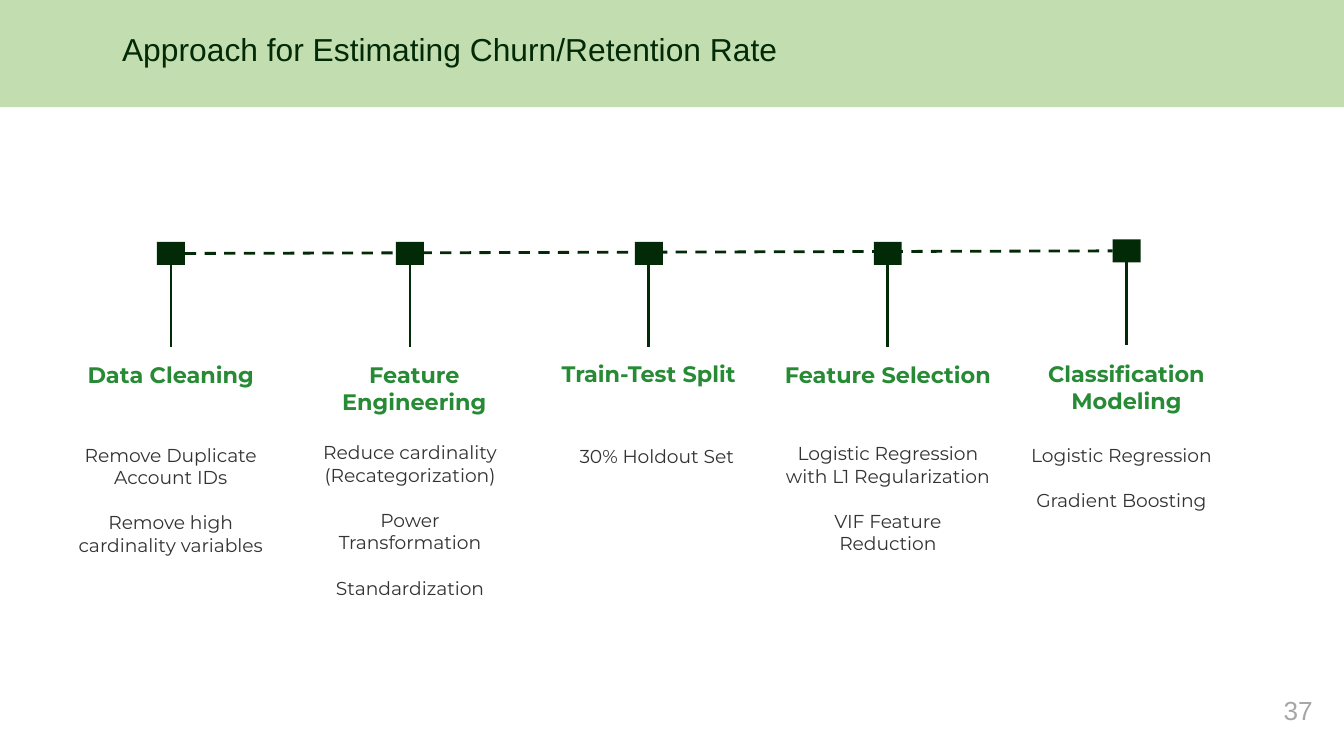
from dataclasses import dataclass

from lxml import etree
from pptx import Presentation
from pptx.dml.color import RGBColor
from pptx.enum.dml import MSO_LINE
from pptx.enum.shapes import MSO_CONNECTOR, MSO_SHAPE
from pptx.enum.text import MSO_ANCHOR, MSO_AUTO_SIZE, PP_ALIGN
from pptx.oxml.ns import qn
from pptx.util import Pt

RECT = MSO_SHAPE.RECTANGLE
STRAIGHT = MSO_CONNECTOR.STRAIGHT
DASH = MSO_LINE.DASH
LEFT, CENTER, RIGHT = PP_ALIGN.LEFT, PP_ALIGN.CENTER, PP_ALIGN.RIGHT
TOP, MIDDLE = MSO_ANCHOR.TOP, MSO_ANCHOR.MIDDLE
SIDE_LEFT, SIDE_BOTTOM, SIDE_RIGHT = 1, 2, 3


@dataclass(frozen=True)
class Style:
    font: str
    size: float
    color: str
    bold: bool = False


@dataclass(frozen=True)
class Theme:
    band: str = "C2DDAF"
    dark: str = "032A06"
    line_width: float = 1.5
    title: Style = Style("Arial", 17, "032A06")
    heading: Style = Style("Montserrat", 12, "278A35", True)
    body: Style = Style("Montserrat", 10, "333333")
    number: Style = Style("Arial", 14, "A6A6A6")


@dataclass(frozen=True)
class Box:
    left: float
    top: float
    width: float
    height: float

    def lengths(self):
        return Pt(self.left), Pt(self.top), Pt(self.width), Pt(self.height)


@dataclass(frozen=True)
class Step:
    heading: str
    heading_box: Box
    details: tuple[str, ...]
    details_box: Box
    rise: float = 0


THEME = Theme()
WIDTH, HEIGHT = 720, 405
FIRST_CENTER, PITCH = 91.6, 128
MARKER_TOP, MARKER_W, MARKER_H = 129.6, 15, 12.4
STEM = 44
DETAIL_GAP = 12.2
INSET = 7.2

STEPS = (
    Step("Data Cleaning", Box(33, 186.5, 117, 69),
         ("Remove Duplicate Account IDs", "Remove high cardinality variables"),
         Box(34.4, 230.4, 114, 91)),
    Step("Feature Engineering", Box(150.5, 186.5, 143, 52),
         ("Reduce cardinality (Recategorization)", "Power Transformation", "Standardization"),
         Box(159.1, 229.2, 121, 91)),
    Step("Train-Test Split", Box(281.5, 185.8, 132, 52),
         ("30% Holdout Set",), Box(301, 230.9, 101.5, 96)),
    Step("Feature Selection", Box(409.7, 186.5, 132, 52),
         ("Logistic Regression with L1 Regularization", "VIF Feature Reduction"),
         Box(412.6, 229.7, 126, 91)),
    Step("Classification Modeling", Box(545, 185.8, 117, 52),
         ("Logistic Regression", "Gradient Boosting"),
         Box(542.2, 230.4, 117, 76), rise=1.4),
)


def write(sp, lines: tuple[str, ...], style: Style, align, anchor=TOP, inset: float = INSET) -> None:
    tf = sp.text_frame
    tf.word_wrap = True
    tf.auto_size = MSO_AUTO_SIZE.NONE
    tf.vertical_anchor = anchor
    tf.margin_left = tf.margin_right = Pt(INSET)
    tf.margin_top = tf.margin_bottom = Pt(inset)
    tf.text = "\n".join(lines)
    for i, p in enumerate(tf.paragraphs):
        p.alignment = align
        p.space_before = Pt(DETAIL_GAP if i else 0)
        for r in p.runs:
            r.font.name = style.font
            r.font.size = Pt(style.size)
            r.font.bold = style.bold
            r.font.color.rgb = RGBColor.from_string(style.color)


def add_text(s, box: Box, lines: tuple[str, ...], style: Style, align=CENTER, inset: float = INSET) -> None:
    write(s.shapes.add_textbox(*box.lengths()), lines, style, align, inset=inset)


def add_rect(s, box: Box, color: str):
    sp = s.shapes.add_shape(RECT, *box.lengths())
    sp.shadow.inherit = False
    sp.fill.solid()
    sp.fill.fore_color.rgb = RGBColor.from_string(color)
    sp.line.fill.background()
    return sp


def add_line(s, x1: float, y1: float, x2: float, y2: float):
    line = s.shapes.add_connector(STRAIGHT, Pt(x1), Pt(y1), Pt(x2), Pt(y2))
    line.line.color.rgb = RGBColor.from_string(THEME.dark)
    line.line.width = Pt(THEME.line_width)
    etree.SubElement(line._element.spPr, qn("a:effectLst"))
    return line


def add_step(s, step: Step, center: float):
    """Draw marker, stem, heading and details; return the marker."""
    top = MARKER_TOP - step.rise
    bottom = top + MARKER_H
    marker = add_rect(s, Box(center - MARKER_W / 2, top, MARKER_W, MARKER_H), THEME.dark)
    stem = add_line(s, center, bottom, center, bottom + STEM)
    stem.begin_connect(marker, SIDE_BOTTOM)
    add_text(s, step.heading_box, (step.heading,), THEME.heading)
    add_text(s, step.details_box, step.details, THEME.body)
    return marker


def main() -> None:
    prs = Presentation()
    prs.slide_width, prs.slide_height = Pt(WIDTH), Pt(HEIGHT)
    s = prs.slides.add_slide(prs.slide_layouts[5])

    # Header band, placed behind the title
    band = add_rect(s, Box(0, 0, WIDTH, 57.5), THEME.band)
    s.shapes._spTree.insert(2, band._element)
    title = s.shapes.title
    title.left, title.top, title.width, title.height = Box(58.2, 8, 613, 36.7).lengths()
    write(title, ("Approach for Estimating Churn/Retention Rate",), THEME.title, LEFT, MIDDLE)

    # Timeline steps
    markers = [add_step(s, step, FIRST_CENTER + i * PITCH) for i, step in enumerate(STEPS)]

    # Dashed line from the first marker to the last
    axis = add_line(s, 0, 0, WIDTH, 0)
    axis.line.dash_style = DASH
    axis.begin_connect(markers[0], SIDE_RIGHT)
    axis.end_connect(markers[-1], SIDE_LEFT)

    # Page number
    add_text(s, Box(667.2, 368.6, 43.2, 31), ("37",), THEME.number, RIGHT, inset=3.6)

    prs.save("out.pptx")


if __name__ == "__main__":
    main()
